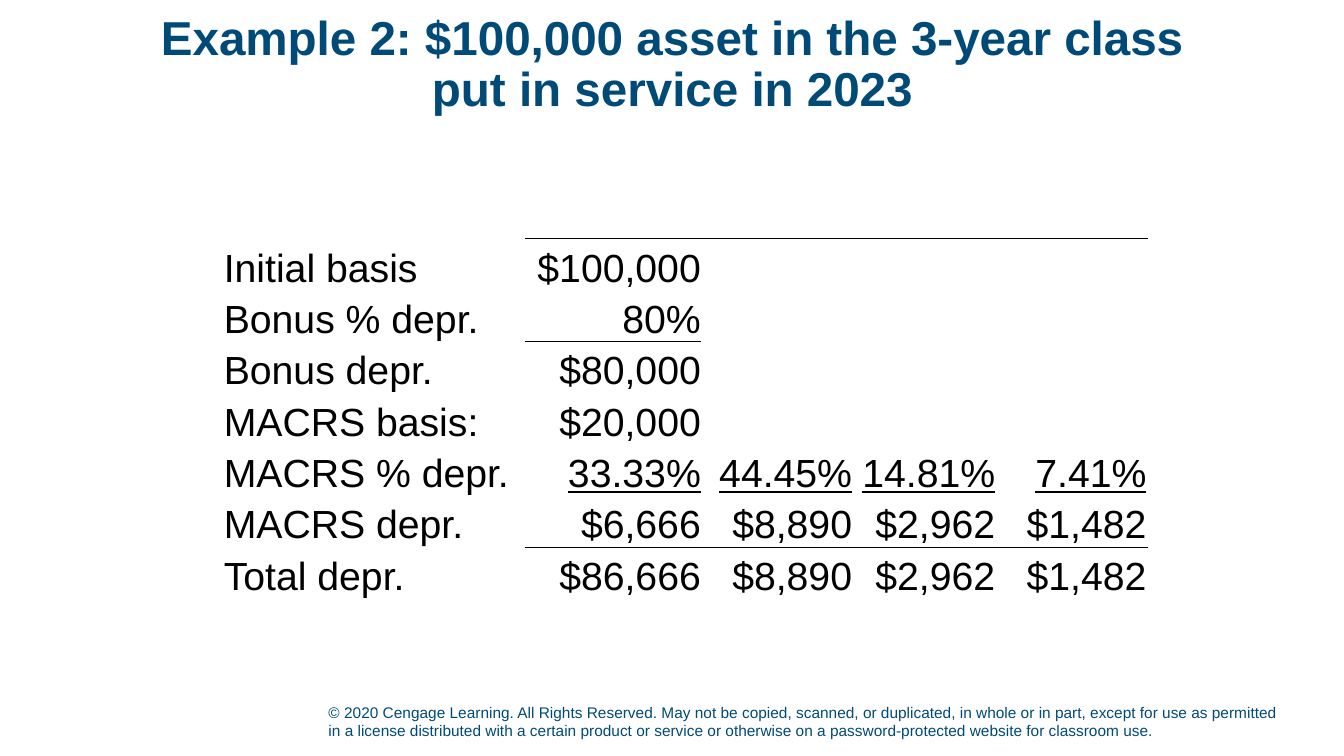
from lxml import etree
from pptx import Presentation
from pptx.dml.color import RGBColor
from pptx.enum import text as t
from pptx.oxml import ns
from pptx.util import Inches, Pt

HUES = {"navy": "004A78", "black": "000000", "white": "FFFFFF"}
FONT = "Arial"

TITLE = "Example 2: $100,000 asset in the 3-year class\vput in service in 2023"
NOTICE = (
    "© 2020 Cengage Learning. All Rights Reserved. May not be copied, scanned, "
    "or duplicated, in whole or in part, except for use as permitted in a license "
    "distributed with a certain product or service or otherwise on a "
    "password-protected website for classroom use."
)
ROWS = [
    [],
    ["Initial basis", "$100,000"],
    ["Bonus % depr.", "80%"],
    ["Bonus depr.", "$80,000"],
    ["MACRS basis:", "$20,000"],
    ["MACRS % depr.", "33.33%", "44.45%", "14.81%", "7.41%"],
    ["MACRS depr.", "$6,666", "$8,890", "$2,962", "$1,482"],
    ["Total depr.", "$86,666", "$8,890", "$2,962", "$1,482"],
]
WIDTHS = [3, 1.75, 1.5, 1.42, 1.5]
HEIGHT = 0.51
RATES = 5  # row of underlined rates
RULES = {0: range(1, 5), 2: range(1, 2), 6: range(1, 5)}  # row above: columns


def style(para, size, hue, bold=False):
    for run in para.runs:
        font = run.font
        font.name, font.size, font.bold = FONT, Pt(size), bold
        font.color.rgb = RGBColor.from_string(HUES[hue])


def add_text(slide, box, words, size, anchor, bold=False):
    frame = slide.shapes.add_textbox(*map(Inches, box)).text_frame
    frame.word_wrap = True
    frame.vertical_anchor = anchor
    frame.text = words
    para = frame.paragraphs[0]
    style(para, size, "navy", bold)
    return para


def add_edge(cell, side, hue):
    props = cell._tc.get_or_add_tcPr()
    line = etree.SubElement(props, ns.qn("a:ln" + side), w=str(Pt(1)))
    fill = etree.SubElement(line, ns.qn("a:solidFill"))
    etree.SubElement(fill, ns.qn("a:srgbClr"), val=HUES[hue])


def fill_cell(cell, row, col):
    ruled = {"T": col in RULES.get(row - 1, ()), "B": col in RULES.get(row, ())}
    for side in "LRTB":
        add_edge(cell, side, "black" if ruled.get(side) else "white")
    cell.fill.background()
    cell.vertical_anchor = t.MSO_ANCHOR.BOTTOM
    cell.margin_left = cell.margin_right = cell.margin_top = Inches(0.01)
    cell.margin_bottom = 0
    if col < len(ROWS[row]):
        cell.text = ROWS[row][col]
        para = cell.text_frame.paragraphs[0]
        para.alignment = t.PP_ALIGN.RIGHT if col else t.PP_ALIGN.LEFT
        style(para, 28, "black")
        para.runs[0].font.underline = row == RATES and col > 0


def add_schedule(slide):
    size = (sum(WIDTHS), HEIGHT * len(ROWS))
    frame = slide.shapes.add_table(
        len(ROWS), len(WIDTHS), *map(Inches, (2.21, 1.86, *size)))
    table = frame.table
    table.first_row = table.horz_banding = False
    for col, width in enumerate(WIDTHS):
        table.columns[col].width = Inches(width)
    for row in range(len(ROWS)):
        table.rows[row].height = Inches(HEIGHT)
        for col in range(len(WIDTHS)):
            fill_cell(table.cell(row, col), row, col)


def main():
    deck = Presentation()
    deck.slide_width, deck.slide_height = Inches(13.33), Inches(7.5)
    slide = deck.slides.add_slide(deck.slide_layouts[6])
    add_text(slide, (3.16, 6.89, 9.63, 0.5), NOTICE, 11, t.MSO_ANCHOR.BOTTOM)
    title = add_text(
        slide, (0.92, 0.15, 11.5, 1), TITLE, 34, t.MSO_ANCHOR.MIDDLE, True)
    title.alignment = t.PP_ALIGN.CENTER
    title.line_spacing = 0.9
    add_schedule(slide)
    deck.save("out.pptx")


if __name__ == "__main__":
    main()
